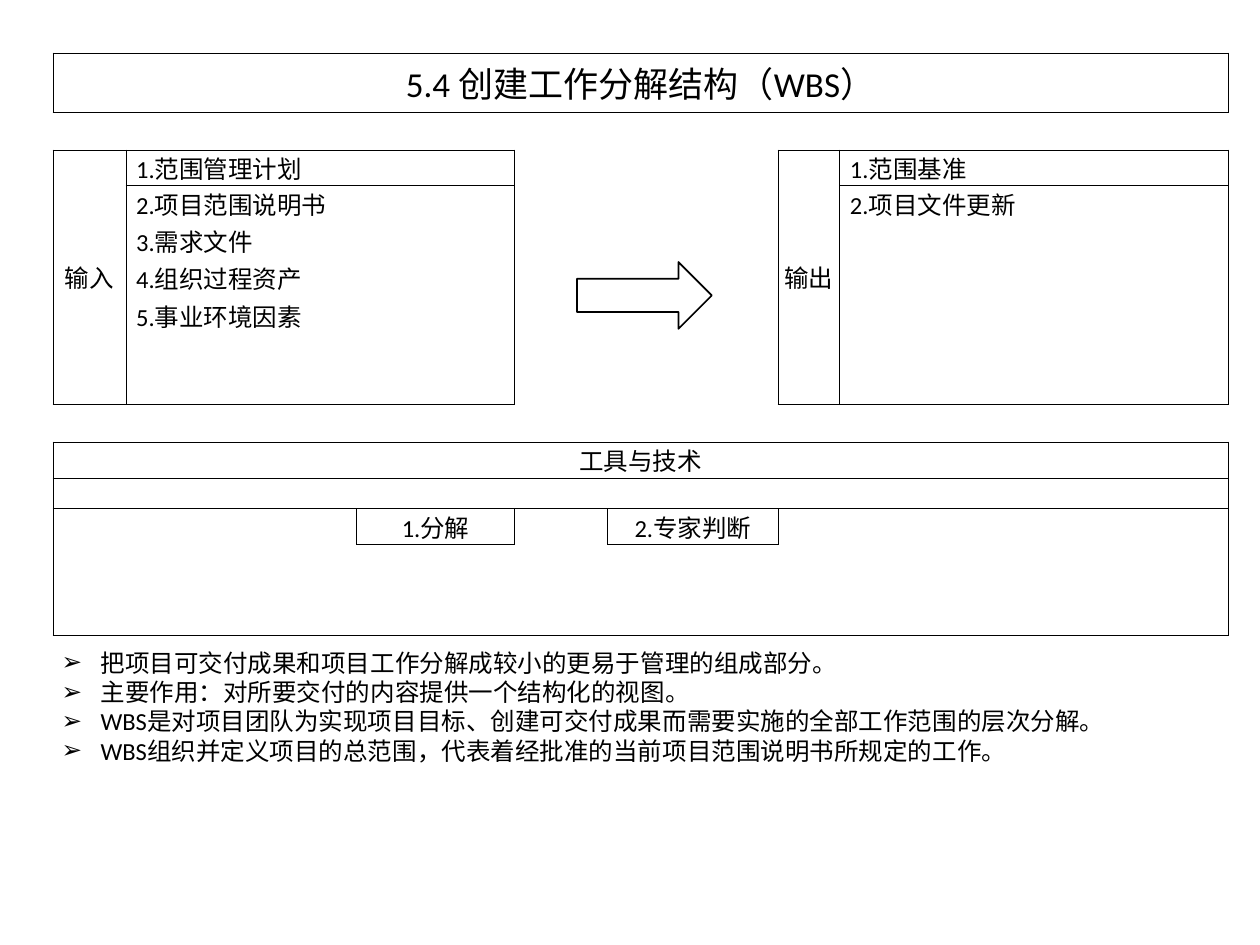
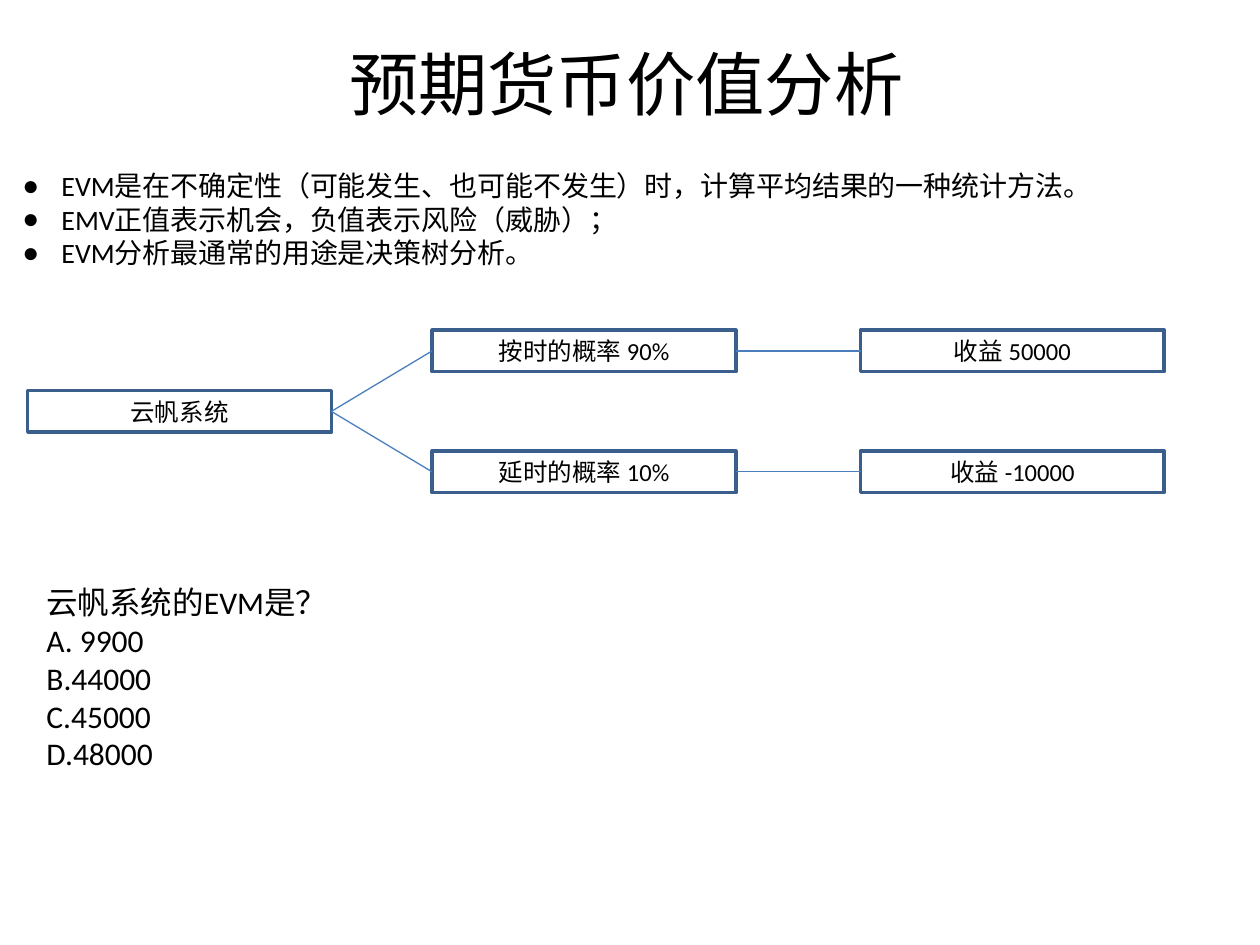
from dataclasses import dataclass
from lxml import etree
from pptx import Presentation
from pptx.dml.color import RGBColor
from pptx.enum.shapes import MSO_CONNECTOR, MSO_SHAPE
from pptx.enum.text import MSO_ANCHOR, PP_ALIGN
from pptx.oxml.ns import qn
from pptx.util import Inches, Pt

LEFT, CENTER = PP_ALIGN.LEFT, PP_ALIGN.CENTER
TOP, MIDDLE = MSO_ANCHOR.TOP, MSO_ANCHOR.MIDDLE
ARROW, NODE = MSO_SHAPE.RIGHT_ARROW, MSO_SHAPE.FLOWCHART_PROCESS
STRAIGHT = MSO_CONNECTOR.STRAIGHT
RIGHT_SITE, LEFT_SITE = 3, 1

FONT = "Calibri"
BLACK, NODE_BLUE, LINK_BLUE = "000000", "3A5F8C", "4B7EBC"
PLAIN_TABLE = "{2D5ABB26-0587-4C30-8999-92F81FD0307C}"

# Slide grid: 100 columns by 75 rows
COLUMNS, ROWS = 100, 75
UNIT = Inches(0.1)

# Process table: relative column widths, row heights in grid rows
COLUMN_WEIGHTS = [38, 20, 115, 68, 125, 74, 135, 40, 9, 78, 135, 95]
ROW_HEIGHTS = [4.7, 3, 2.8, 2.8, 3, 3, 3, 3, 2.5, 3, 2.9, 2.4, 2.8, 2.4, 2.4, 2.4]
LIST_ROW, LIST_ROWS = 2, 7
TOOLS_ROW = 10


@dataclass
class Box:
    col: float
    row: float
    cols: float
    rows: float

    def area(self, col, row, cols, rows):
        return Box(self.col + col, self.row + row, cols, rows)

    def emu(self):
        return [round(n * UNIT) for n in (self.col, self.row, self.cols, self.rows)]


def color(hex_code):
    return RGBColor.from_string(hex_code)


def write(frame, lines, size=14, align=LEFT, anchor=TOP, bullet=None):
    frame.word_wrap = True
    frame.vertical_anchor = anchor
    for i, line in enumerate(lines):
        paragraph = frame.add_paragraph() if i else frame.paragraphs[0]
        paragraph.alignment = align
        if bullet:
            props = paragraph._p.get_or_add_pPr()
            props.set("marL", str(Inches(0.31)))
            props.set("indent", str(-Inches(0.31)))
            etree.SubElement(props, qn("a:buFont")).set("typeface", "Arial")
            etree.SubElement(props, qn("a:buChar")).set("char", bullet)
        run = paragraph.add_run()
        run.text = line
        run.font.size = Pt(size)
        run.font.name = FONT
        run.font.color.rgb = color(BLACK)


def add_text(slide, box, lines, **style):
    write(slide.shapes.add_textbox(*box.emu()).text_frame, lines, **style)


def add_outlined(slide, kind, box, line, width):
    shape = slide.shapes.add_shape(kind, *box.emu())
    shape.shadow.inherit = False
    shape.fill.background()
    shape.line.color.rgb = color(line)
    shape.line.width = Pt(width)
    return shape


def link(slide, start, end):
    line = slide.shapes.add_connector(STRAIGHT, 0, 0, 0, 0)
    line.begin_connect(start, RIGHT_SITE)
    line.end_connect(end, LEFT_SITE)
    line.line.color.rgb = color(LINK_BLUE)
    line.line.width = Pt(0.75)
    etree.SubElement(line._element.spPr, qn("a:effectLst"))


def merge(table, row, col, rows, cols):
    table.cell(row, col).merge(table.cell(row + rows - 1, col + cols - 1))


def outline(table, row, col, rows, cols):
    """Rule the outer edges of a block of cells, merged ones included."""
    for r in range(row, row + rows):
        for c in range(col, col + cols):
            cell = table.cell(r, c)
            high, wide = (cell.span_height, cell.span_width) if cell.is_merge_origin else (1, 1)
            edges = {"L": c == col, "R": c + wide == col + cols,
                     "T": r == row, "B": r + high == row + rows}
            for side, is_edge in edges.items():
                if is_edge:
                    rule = etree.SubElement(cell._tc.get_or_add_tcPr(), qn("a:ln" + side))
                    rule.set("w", str(Pt(0.5)))
                    fill = etree.SubElement(rule, qn("a:solidFill"))
                    etree.SubElement(fill, qn("a:srgbClr")).set("val", BLACK)


def label_cell(table, row, col, text, rows=1, cols=1, size=14):
    """A ruled cell, merged where needed, with centred text."""
    if rows * cols > 1:
        merge(table, row, col, rows, cols)
    outline(table, row, col, rows, cols)
    write(table.cell(row, col).text_frame, [text], size=size, align=CENTER)


def list_block(table, col, label, label_cols, items):
    """A tall label with a numbered list of merged rows beside it."""
    label_cell(table, LIST_ROW, col, label, LIST_ROWS, label_cols)
    list_col = col + label_cols
    for row in range(LIST_ROW, LIST_ROW + LIST_ROWS):
        merge(table, row, list_col, 1, 3)
    outline(table, LIST_ROW, list_col, LIST_ROWS, 3)
    for i, item in enumerate(items):
        write(table.cell(LIST_ROW + i, list_col).text_frame, [f"{i + 1}.{item}"])
        table.cell(LIST_ROW + i, list_col).margin_left = Inches(0.08)


def process_table(slide, box, title, inputs, outputs, tools):
    width = len(COLUMN_WEIGHTS)
    frame = slide.shapes.add_table(len(ROW_HEIGHTS), width, *box.emu())
    table = frame.table
    table.first_row = table.horz_banding = False
    table._tbl.tblPr.find(qn("a:tableStyleId")).text = PLAIN_TABLE
    for column, weight in zip(table.columns, COLUMN_WEIGHTS):
        column.width = round(box.cols * UNIT * weight / sum(COLUMN_WEIGHTS))
    for row, height in zip(table.rows, ROW_HEIGHTS):
        row.height = round(height * UNIT)
    for cell in table.iter_cells():
        cell.margin_left = cell.margin_right = cell.margin_top = cell.margin_bottom = 0

    # Title, inputs and outputs
    label_cell(table, 0, 0, title, cols=width, size=20)
    list_block(table, 0, "输入", 2, inputs)
    list_block(table, 7, "输出", 2, outputs)

    # Tools and techniques
    label_cell(table, TOOLS_ROW, 0, "工具与技术", cols=width)
    outline(table, TOOLS_ROW + 1, 0, len(ROW_HEIGHTS) - TOOLS_ROW - 1, width)
    for i, tool in enumerate(tools):
        label_cell(table, TOOLS_ROW + 2, 4 + 2 * i, f"{i + 1}.{tool}")

    # Plain fill everywhere; small type keeps empty rows low
    for cell in table.iter_cells():
        cell.vertical_anchor = MIDDLE
        cell.fill.background()
        if not cell.text_frame.text:
            end = etree.SubElement(cell.text_frame.paragraphs[0]._p, qn("a:endParaRPr"))
            end.set("sz", "1000")


def decision_tree(slide, box, root, branches):
    node_cols, node_rows = 24.1, 3.3
    branch_col, result_col = 32.1, box.cols - node_cols
    branch_step = (box.rows - node_rows) / (len(branches) - 1)

    def node(col, row, text):
        shape = add_outlined(slide, NODE, box.area(col, row, node_cols, node_rows), NODE_BLUE, 2)
        write(shape.text_frame, [text], align=CENTER, anchor=MIDDLE)
        return shape

    root_node = node(0, (box.rows - node_rows) / 2, root)
    for i, (chance, result) in enumerate(branches):
        chance_node = node(branch_col, i * branch_step, chance)
        link(slide, root_node, chance_node)
        link(slide, chance_node, node(result_col, i * branch_step, result))


def wbs_slide(slide, box):
    process_table(
        slide, box.area(4.2, 4.2, 93.3, sum(ROW_HEIGHTS)), "5.4 创建工作分解结构（WBS）",
        inputs=["范围管理计划", "项目范围说明书", "需求文件", "组织过程资产", "事业环境因素"],
        outputs=["范围基准", "项目文件更新"],
        tools=["分解", "专家判断"])
    add_outlined(slide, ARROW, box.area(45.8, 20.8, 10.7, 5.3), BLACK, 1)
    add_text(slide, box.area(3.9, 50.9, 93.6, 10.3), [
        "把项目可交付成果和项目工作分解成较小的更易于管理的组成部分。",
        "主要作用：对所要交付的内容提供一个结构化的视图。",
        "WBS是对项目团队为实现项目目标、创建可交付成果而需要实施的全部工作范围的层次分解。",
        "WBS组织并定义项目的总范围，代表着经批准的当前项目范围说明书所规定的工作。",
    ], bullet="➢")


def expected_value_slide(slide, box):
    add_text(slide, box.area(0.8, 3, 97.8, 7.1), ["预期货币价值分析"],
             size=39.6, align=CENTER, anchor=MIDDLE)
    add_text(slide, box.area(0.8, 12.9, 96.3, 11.7), [
        "EVM是在不确定性（可能发生、也可能不发生）时，计算平均结果的一种统计方法。",
        "EMV正值表示机会，负值表示风险（威胁）；",
        "EVM分析最通常的用途是决策树分析。",
    ], size=16, bullet="●")
    decision_tree(slide, box.area(2.2, 26.2, 90.2, 12.9), "云帆系统", [
        ("按时的概率 90%", "收益 50000"),
        ("延时的概率 10%", "收益 -10000"),
    ])
    add_text(slide, box.area(2.7, 45.8, 94.8, 16),
             ["云帆系统的EVM是？", "A. 9900", "B.44000", "C.45000", "D.48000"], size=18)


def main():
    deck = Presentation()
    deck.slide_width, deck.slide_height = COLUMNS * UNIT, ROWS * UNIT
    blank = deck.slide_layouts[6]
    for build in (wbs_slide, expected_value_slide):
        build(deck.slides.add_slide(blank), Box(0, 0, COLUMNS, ROWS))
    deck.save("out.pptx")


if __name__ == "__main__":
    main()
